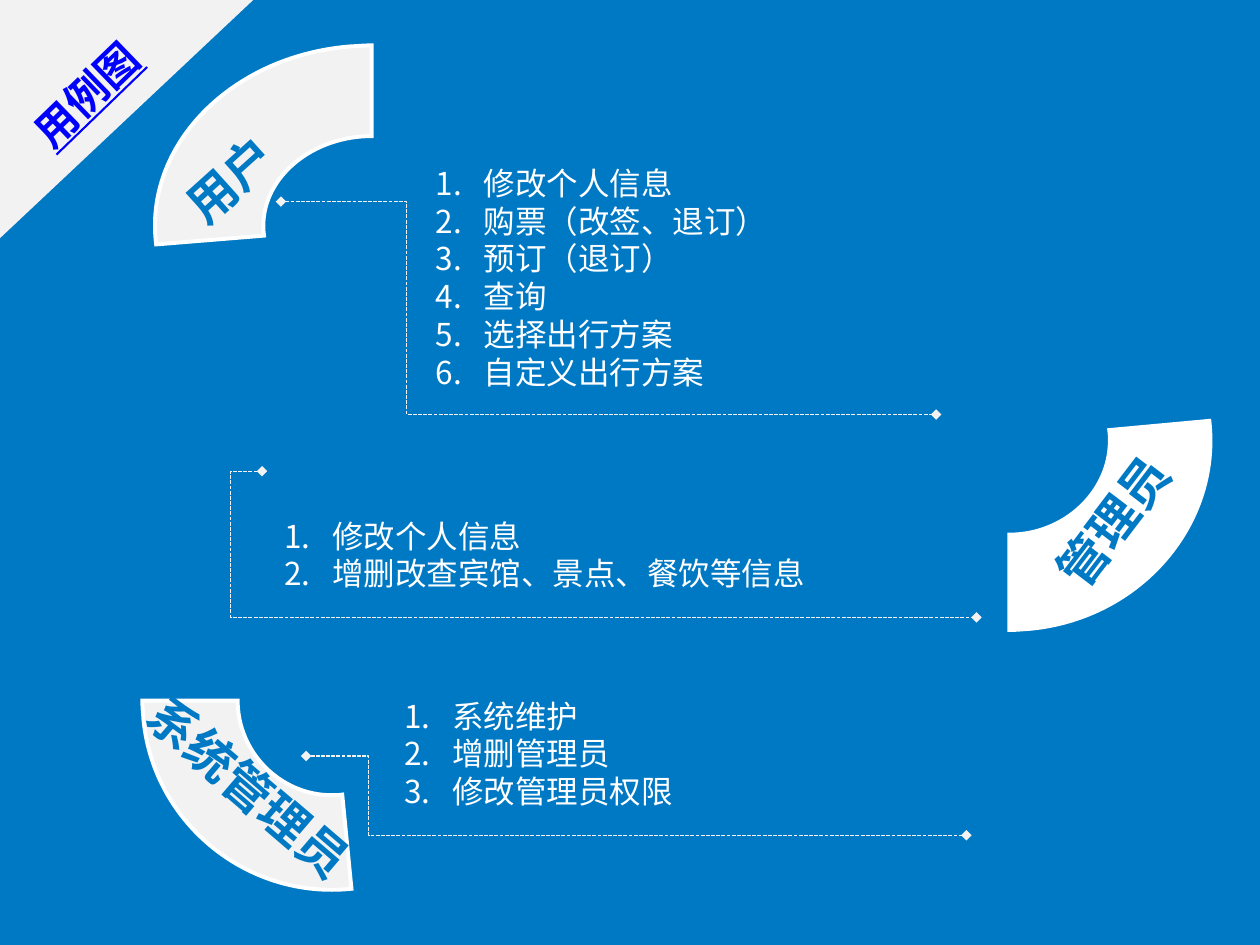
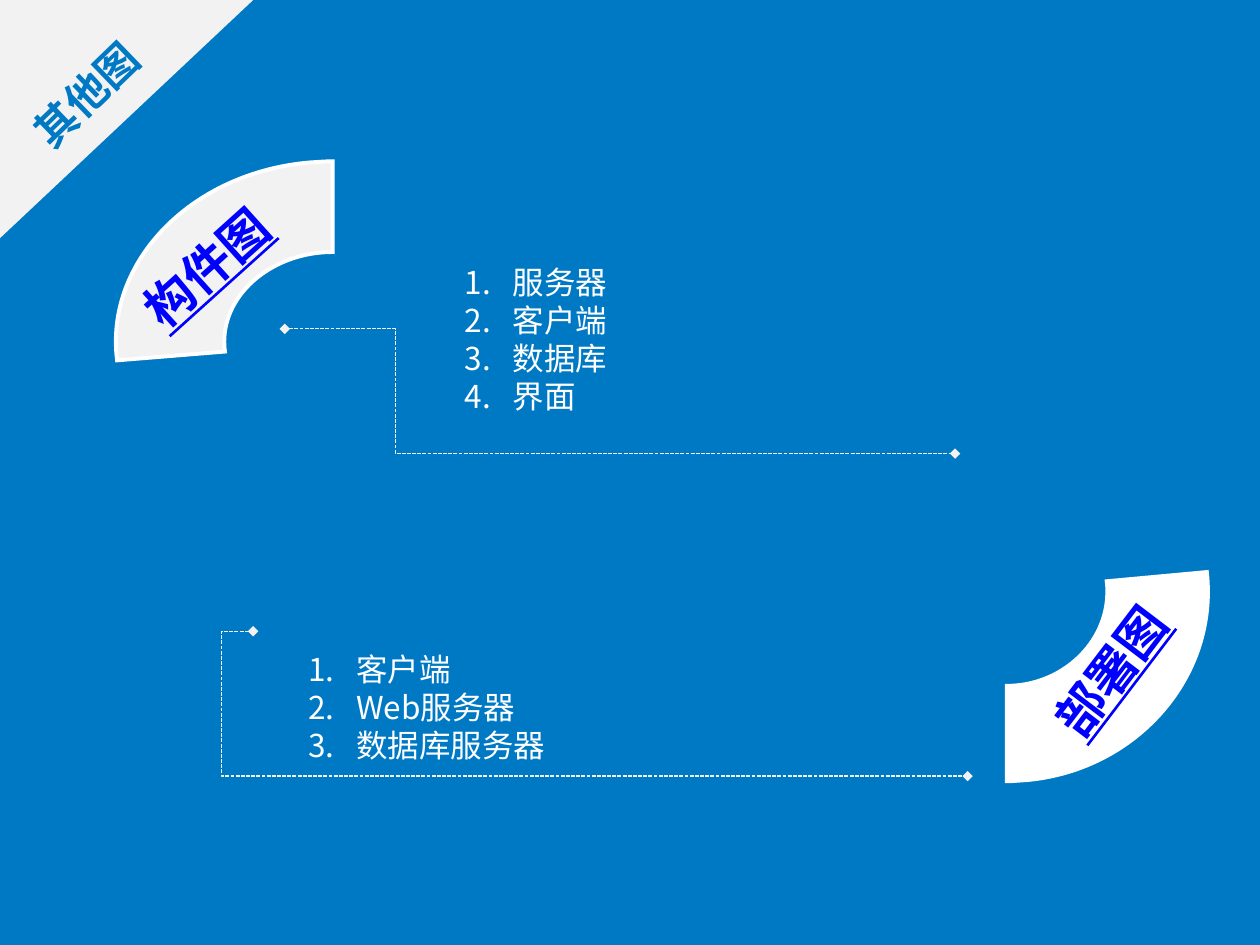
import pptx
import pptx.util
import pptx.dml.color
import pptx.enum.dml
import pptx.enum.shapes
import pptx.enum.text
import pptx.oxml
import pptx.oxml.ns
from dataclasses import dataclass
from lxml import etree

Inches, Pt = pptx.util.Inches, pptx.util.Pt
qn = pptx.oxml.ns.qn


@dataclass(frozen=True)
class Theme:
    blue: str = "0079C5"
    pale: str = "F2F2F2"
    white: str = "FFFFFF"
    link: str = "0000FF"
    font: str = "Noto Sans CJK SC"
    label_font: str = "Noto Sans CJK JP"
    user_font: str = "Arial"
    list_size: float = 18
    title_size: float = 24
    label_size: float = 28
    line_spacing: float = 1.2


THEME = Theme()

# box: left, top, width, height before turning; angle: clockwise
# leader: start, x of the vertical leg, end
SLIDES = [
    dict(
        title="用例图", title_link=True,
        fans=[
            dict(box=(8.01, 3.34, 1.68, 1.66), angle=180, fill=THEME.white),
            dict(box=(1.14, 0.36, 1.81, 1.58), angle=0, fill=THEME.pale),
            dict(box=(1.17, 5.52, 1.58, 1.66), angle=270, fill=THEME.pale),
        ],
        labels=[
            dict(text="管理员", box=(8.14, 3.85, 1.39, 0.57), angle=307.3, centred=True),
            dict(text="系统管理员", box=(0.89, 5.96, 2.17, 0.57), angle=40.6, centred=True),
            dict(text="用户", box=(1.22, 0.83, 1.89, 0.57), angle=318, font=THEME.user_font),
        ],
        lists=[
            ((3.36, 1.25, 3.39, 1.92),
             ["修改个人信息", "购票（改签、退订）", "预订（退订）", "查询",
              "选择出行方案", "自定义出行方案"]),
            ((2.16, 4.05, 5.27, 0.71),
             ["修改个人信息", "增删改查宾馆、景点、餐饮等信息"]),
            ((3.11, 5.48, 4.73, 1.01),
             ["系统维护", "增删管理员", "修改管理员权限"]),
        ],
        leaders=[
            ((2.23, 1.6), 3.23, (7.43, 3.29)),
            ((2.43, 6), 2.93, (7.67, 6.63)),
            ((2.08, 3.74), 1.83, (7.75, 4.9)),
        ],
    ),
    dict(
        title="其他图", title_link=False,
        fans=[
            dict(box=(7.99, 4.54, 1.68, 1.66), angle=180, fill=THEME.white),
            dict(box=(0.83, 1.28, 1.81, 1.58), angle=0, fill=THEME.pale),
        ],
        labels=[
            dict(text="部署图", box=(8.12, 5.04, 1.39, 0.57), angle=307.3, centred=True,
                 link=True),
            dict(text="构件图", box=(0.89, 1.66, 1.89, 0.57), angle=318,
                 font=THEME.user_font, link=True),
        ],
        lists=[
            ((3.59, 2.04, 3.39, 1.31), ["服务器", "客户端", "数据库", "界面"]),
            ((2.35, 5.11, 5.27, 1.01), ["客户端", "Web服务器", "数据库服务器"]),
        ],
        leaders=[
            ((2.26, 2.61), 3.14, (7.58, 3.6)),
            ((2.01, 5.01), 1.76, (7.68, 6.16)),
        ],
    ),
]

# Fan outline in percent of its box: outer and inner edge, each two cubic curves
OUTER_EDGE = [(5.5, 100), (0, 50.6), (38, 5.7), (90, 0.6), (93.4, 0.4), (96.7, 0), (100, 0)]
INNER_EDGE = [(100, 45.6), (74, 45.6), (52.5, 66), (52.5, 90.5),
              (52.5, 92.4), (52.5, 93.7), (52.8, 95.6)]


def rgb(code):
    return pptx.dml.color.RGBColor.from_string(code)


def bend_edges(outline):
    """Join the straight segments of both fan edges, three by three, into cubic curves."""
    segments = outline.findall(qn("a:lnTo"))
    curves = len(OUTER_EDGE) - 1
    for edge in (segments[:curves], segments[curves + 1:]):
        for i in range(0, 6, 3):
            curve = etree.Element(qn("a:cubicBezTo"))
            edge[i].addprevious(curve)
            for segment in edge[i:i + 3]:
                curve.append(segment[0])
                outline.remove(segment)


def add_fan(slide, box, angle, fill):
    left, top, width, height = box
    points = [(Inches(left + x * width / 100), Inches(top + y * height / 100))
              for x, y in OUTER_EDGE + INNER_EDGE]
    builder = slide.shapes.build_freeform(*points[0], scale=1.0)
    builder.add_line_segments(points[1:], close=True)
    sp = builder.convert_to_shape()
    bend_edges(next(sp._element.iter(qn("a:path"))))
    sp.rotation = angle
    sp.shadow.inherit = False
    sp.fill.solid()
    sp.fill.fore_color.rgb = rgb(fill)
    sp.line.color.rgb = rgb(THEME.white)
    sp.line.width = Pt(2.25)
    etree.SubElement(sp.line._get_or_add_ln(), qn("a:miter"), lim="800000")


def add_text(slide, box, lines, size, color, font=THEME.font, bold=False,
             underline=False, angle=0):
    sp = slide.shapes.add_textbox(*map(Inches, box))
    sp.rotation = angle
    tf = sp.text_frame
    tf.word_wrap = True
    tf.text = "\n".join(lines)
    for p in tf.paragraphs:
        p.line_spacing = Pt(size * THEME.line_spacing)
        for r in p.runs:
            r.font.size = Pt(size)
            r.font.name = font
            r.font.bold = bold
            r.font.underline = underline
            r.font.color.rgb = rgb(color)
            east_asian = THEME.font if font == THEME.user_font else font
            r.font._element.find(qn("a:latin")).addnext(
                etree.Element(qn("a:ea"), typeface=east_asian))
    return tf


def add_label(slide, text, box, angle, centred=False, font=THEME.label_font, link=False,
              size=THEME.label_size):
    tf = add_text(slide, box, [text], size, THEME.link if link else THEME.blue,
                  font, True, link, angle)
    if centred:
        tf.paragraphs[0].alignment = pptx.enum.text.PP_ALIGN.CENTER


def add_numbered_list(slide, box, items):
    tf = add_text(slide, box, items, THEME.list_size, THEME.white)
    for p in tf.paragraphs:
        props = p._p.get_or_add_pPr()
        props.set("marL", str(Inches(0.38)))
        props.set("indent", str(-Inches(0.38)))
        etree.SubElement(props, qn("a:buFont"), typeface=THEME.font)
        etree.SubElement(props, qn("a:buAutoNum"), type="arabicPeriod")


def add_leader(slide, start, bend_x, end):
    """Dashed elbow line with diamond ends and its vertical leg at bend_x."""
    line = slide.shapes.add_connector(
        pptx.enum.shapes.MSO_CONNECTOR.ELBOW, *map(Inches, start + end))
    line.line.color.rgb = rgb(THEME.pale)
    line.line.width = Pt(0.75)
    line.line.dash_style = pptx.enum.dml.MSO_LINE.SQUARE_DOT
    ln = line.line._get_or_add_ln()
    for tag in ("a:headEnd", "a:tailEnd"):
        etree.SubElement(ln, qn(tag), type="diamond")
    props = line._element.spPr
    etree.SubElement(props, qn("a:effectLst"))
    guides = props.find(qn("a:prstGeom")).find(qn("a:avLst"))
    bend = round((bend_x - start[0]) / (end[0] - start[0]) * 100000)
    etree.SubElement(guides, qn("a:gd"), name="adj1", fmla=f"val {bend}")


def add_corner_title(slide, title, link):
    sp = slide.shapes.add_shape(pptx.enum.shapes.MSO_SHAPE.RIGHT_TRIANGLE,
                                *map(Inches, (0.05, -0.06, 1.9, 2.02)))
    sp.rotation = 90
    sp.shadow.inherit = False
    sp.fill.solid()
    sp.fill.fore_color.rgb = rgb(THEME.pale)
    sp.line.fill.background()
    add_label(slide, title, (0.08, 0.49, 1.22, 0.5), 316, font=THEME.font, link=link,
              size=THEME.title_size)


def build_slide(prs, content):
    slide = prs.slides.add_slide(prs.slide_layouts[6])
    slide.background.fill.solid()
    slide.background.fill.fore_color.rgb = rgb(THEME.blue)
    for fan in content["fans"]:
        add_fan(slide, **fan)
    for box, items in content["lists"]:
        add_numbered_list(slide, box, items)
    add_corner_title(slide, content["title"], content["title_link"])
    for leader in content["leaders"]:
        add_leader(slide, *leader)
    for label in content["labels"]:
        add_label(slide, **label)


def main():
    prs = pptx.Presentation()
    prs.slide_width, prs.slide_height = Inches(10), Inches(7.5)
    for content in SLIDES:
        build_slide(prs, content)
    prs.save("out.pptx")


if __name__ == "__main__":
    main()
